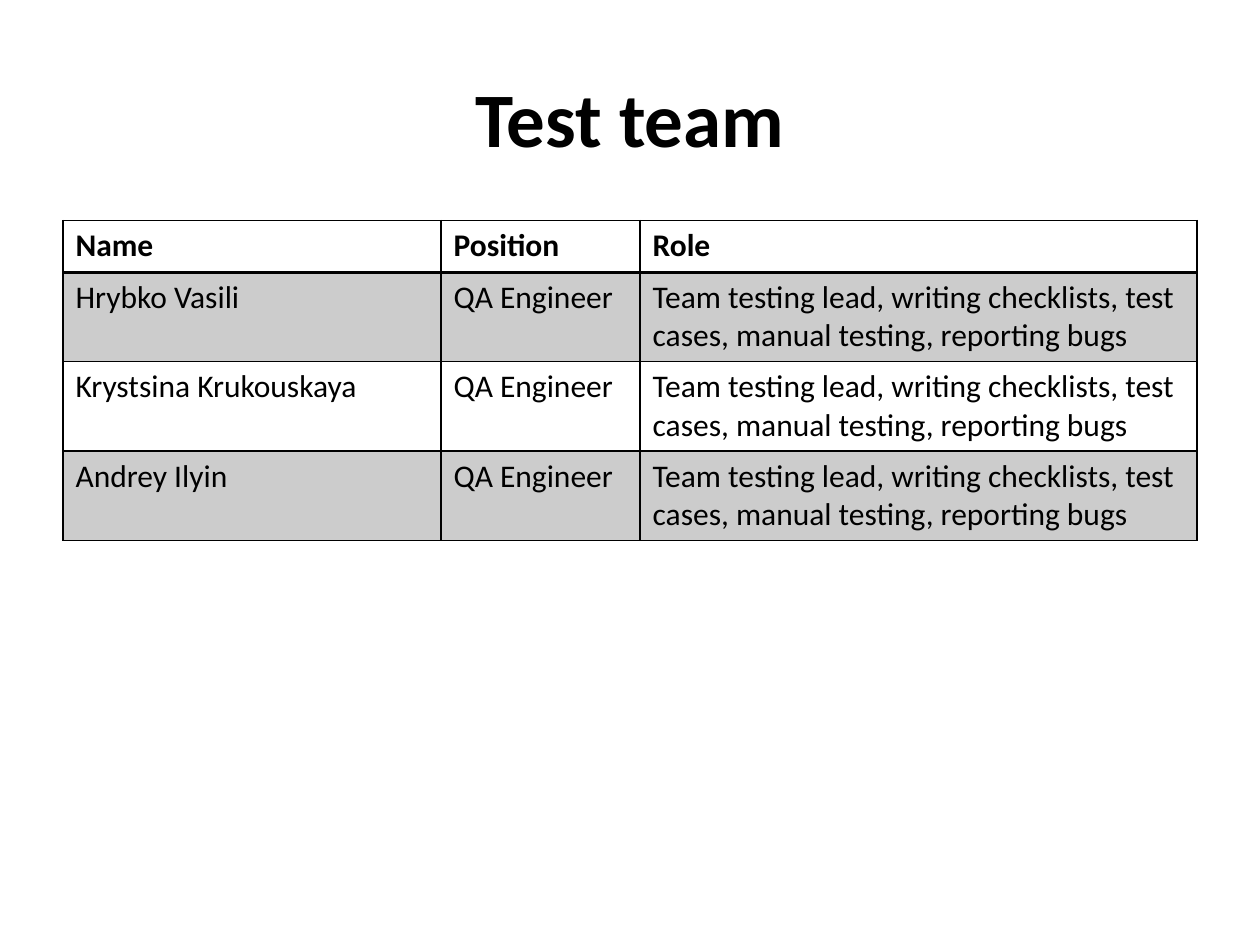
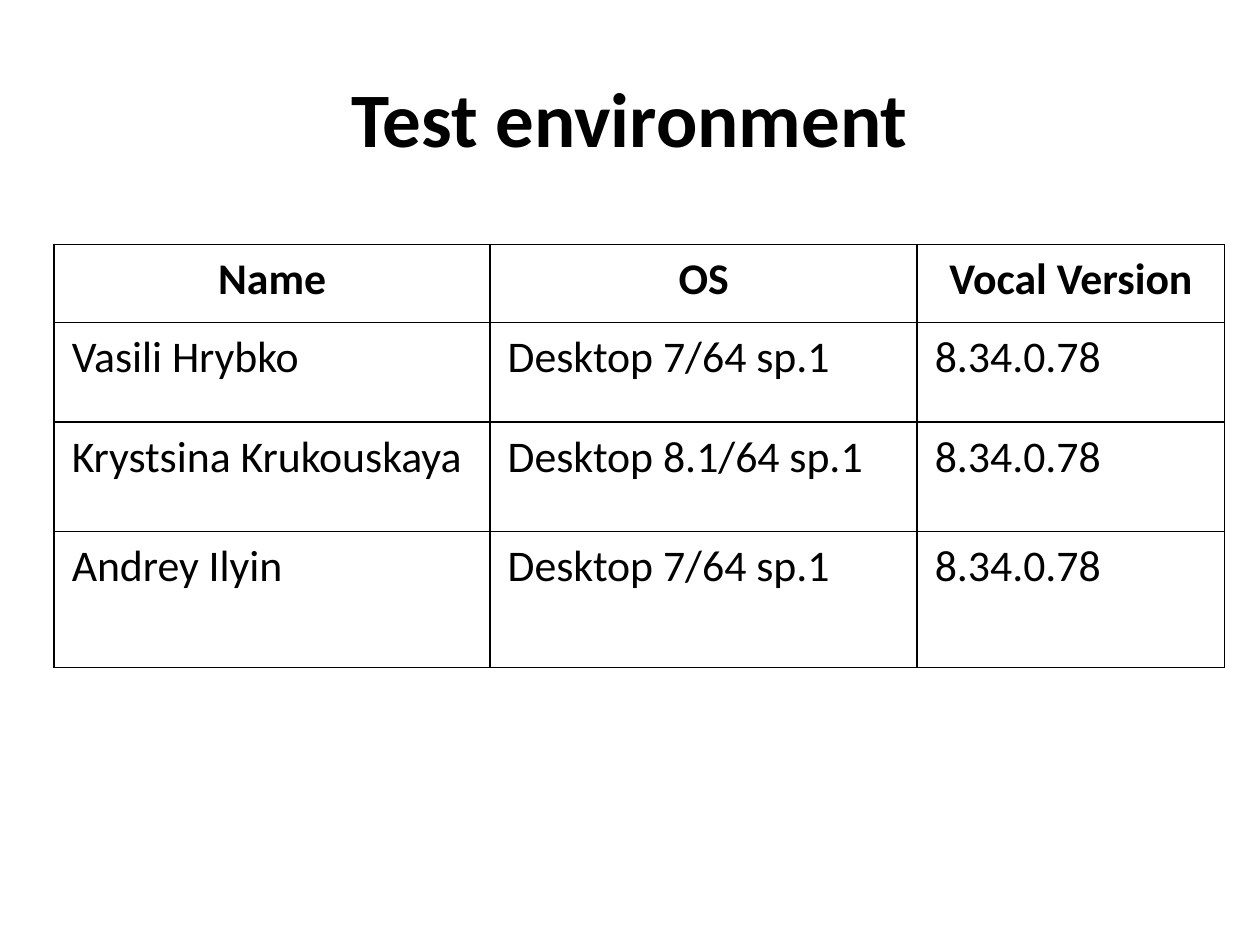
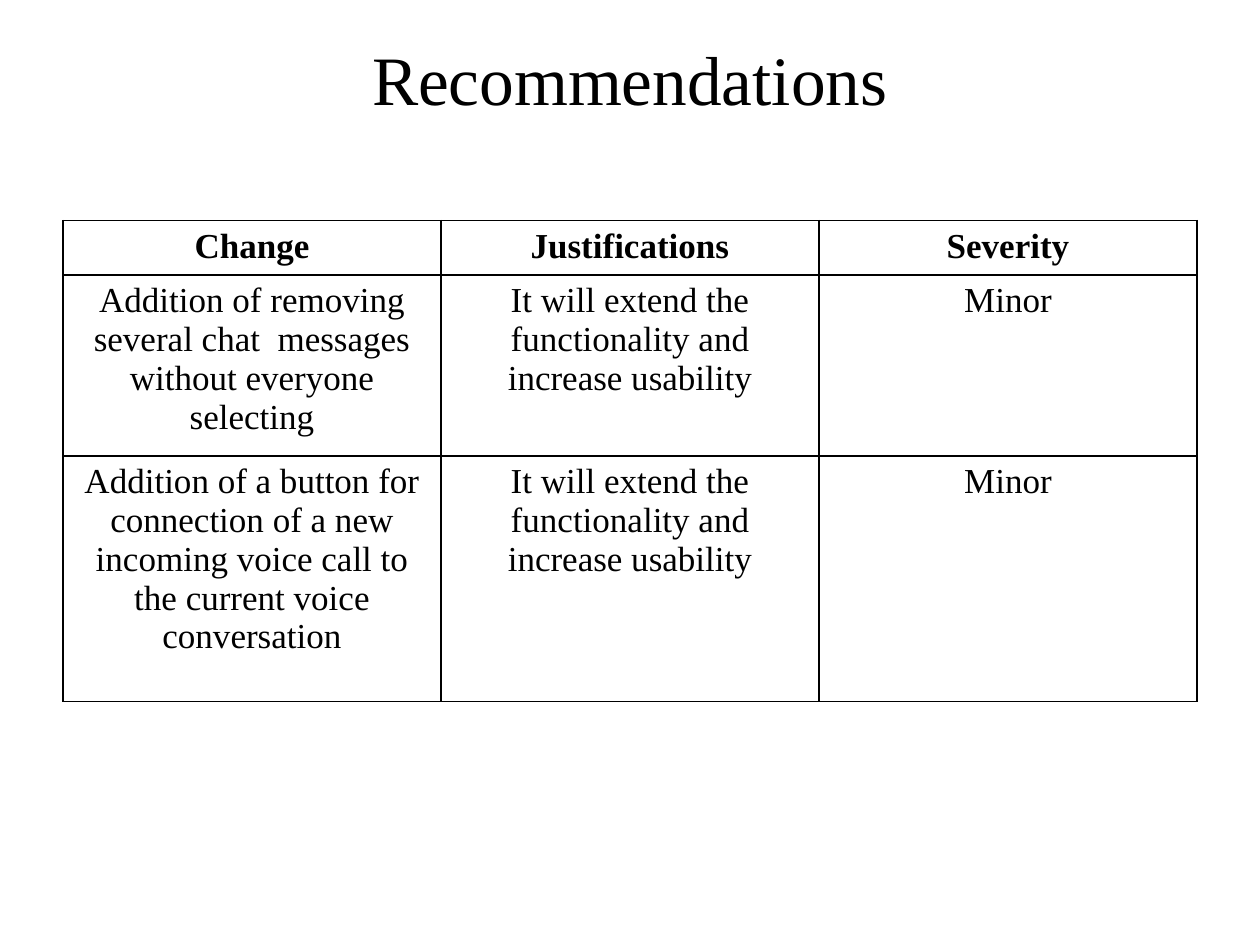
from dataclasses import dataclass
from typing import Optional

from lxml import etree
from pptx import Presentation
from pptx.dml.color import RGBColor
from pptx.enum.text import MSO_ANCHOR, PP_ALIGN
from pptx.oxml.ns import qn
from pptx.util import Inches, Pt

LEFT = PP_ALIGN.LEFT
CENTER = PP_ALIGN.CENTER
MIDDLE = MSO_ANCHOR.MIDDLE

BLACK = RGBColor(0x00, 0x00, 0x00)
WHITE = RGBColor(0xFF, 0xFF, 0xFF)
SANS = "Calibri"
SERIF = "Times New Roman"
BAND_OPACITY = 20
EDGES = ("L", "R", "T", "B")


@dataclass(frozen=True)
class Title:
    text: str
    font: str = SANS
    size: float = 44
    bold: bool = True
    bottom_margin: float = 0.05


@dataclass(frozen=True)
class Grid:
    left: float
    top: float
    columns: tuple[float, ...]
    heights: tuple[float, ...]
    rows: tuple[tuple[str, ...], ...]
    size: float
    font: str = SANS
    header_align: PP_ALIGN = CENTER
    body_align: PP_ALIGN = LEFT
    margins: tuple[float, float] = (0.1, 0.05)
    header_rule: float = 1
    banded: bool = False
    fill: Optional[RGBColor] = None


def apply(target, values: dict) -> None:
    for name, value in values.items():
        setattr(target, name, value)


def write(frame, text: str, font: str, size: float, bold: bool, align: PP_ALIGN) -> None:
    para = frame.paragraphs[0]
    para.alignment = align
    span = para.add_run()
    span.text = text
    apply(span.font, {"name": font, "size": Pt(size), "bold": bold})
    span.font.color.rgb = BLACK


def draw_title(page, title: Title) -> None:
    box = page.shapes.add_textbox(Inches(0.5), Inches(0.3), Inches(9), Inches(1.25))
    frame = box.text_frame
    apply(frame, {
        "word_wrap": True,
        "vertical_anchor": MIDDLE,
        "margin_bottom": Inches(title.bottom_margin),
    })
    write(frame, title.text, title.font, title.size, title.bold, CENTER)


def draw_borders(cell, widths: dict[str, float]) -> None:
    properties = cell._tc.get_or_add_tcPr()
    for edge in EDGES:
        line = etree.SubElement(properties, qn(f"a:ln{edge}"), w=str(Pt(widths.get(edge, 1))))
        paint = etree.SubElement(line, qn("a:solidFill"))
        etree.SubElement(paint, qn("a:srgbClr"), val=str(BLACK))


def fill_cell(cell, color: Optional[RGBColor], opacity: int = 100) -> None:
    if color is None:
        cell.fill.background()
        return
    cell.fill.solid()
    cell.fill.fore_color.rgb = color
    if opacity < 100:
        paint = cell._tc.tcPr.find(".//" + qn("a:solidFill") + "[last()]")
        paint = cell._tc.tcPr.findall(qn("a:solidFill"))[0]
        etree.SubElement(paint[0], qn("a:alpha"), val=str(opacity * 1000))


def draw_grid(page, grid: Grid) -> None:
    frame = page.shapes.add_table(
        len(grid.rows), len(grid.columns), Inches(grid.left), Inches(grid.top),
        Inches(sum(grid.columns)), Inches(sum(grid.heights)),
    )
    table = frame.table
    apply(table, {"first_row": False, "horz_banding": False})
    for column, width in zip(table.columns, grid.columns):
        column.width = Inches(width)
    for row, height in zip(table.rows, grid.heights):
        row.height = Inches(height)

    side, end = (Inches(margin) for margin in grid.margins)
    rules = {0: {"B": grid.header_rule}, 1: {"T": grid.header_rule}}
    for row_index, texts in enumerate(grid.rows):
        header = row_index == 0
        align = grid.header_align if header else grid.body_align
        for column_index, text in enumerate(texts):
            cell = table.cell(row_index, column_index)
            apply(cell, {
                "margin_left": side, "margin_right": side,
                "margin_top": end, "margin_bottom": end,
            })
            write(cell.text_frame, text, grid.font, grid.size, header, align)
            draw_borders(cell, rules.get(row_index, {}))
            if grid.banded and row_index % 2:
                fill_cell(cell, BLACK, BAND_OPACITY)
            else:
                fill_cell(cell, grid.fill)


POSITION = "QA Engineer"
ROLE = "Team testing lead, writing checklists, test cases, manual testing, reporting bugs"
VERSION = "8.34.0.78"
BENEFIT = "It will extend the functionality and increase usability"
MEMBERS = ("Hrybko Vasili", "Krystsina Krukouskaya", "Andrey Ilyin")

SLIDES = (
    (
        Title("Test team"),
        Grid(
            0.5, 1.75, (3, 1.58, 4.42), (0.41, 0.71, 0.71, 0.71),
            (("Name", "Position", "Role"),
             *((member, POSITION, ROLE) for member in MEMBERS)),
            size=18, header_align=LEFT, header_rule=2, banded=True,
        ),
    ),
    (
        Title("Test environment"),
        Grid(
            0.43, 1.94, (3.46, 3.39, 2.44), (0.62, 0.79, 0.87, 1.08),
            (("Name", "OS", "Vocal Version"),
             ("Vasili Hrybko", "Desktop 7/64 sp.1", VERSION),
             ("Krystsina Krukouskaya", "Desktop 8.1/64 sp.1", VERSION),
             ("Andrey Ilyin", "Desktop 7/64 sp.1", VERSION)),
            size=25, margins=(0.14, 0.07),
        ),
    ),
    (
        Title("Recommendations", SERIF, 39.6, False, bottom_margin=0.67),
        Grid(
            0.5, 1.75, (3, 3, 3), (0.41, 1.33, 1.95),
            (("Change", "Justifications", "Severity"),
             ("Addition of removing several chat  messages without everyone selecting",
              BENEFIT, "Minor"),
             ("Addition of a button for connection of a new incoming voice call "
              "to the current voice conversation", BENEFIT, "Minor")),
            size=20, font=SERIF, body_align=CENTER, fill=WHITE,
        ),
    ),
)


def main() -> None:
    deck = Presentation()
    apply(deck, {"slide_width": Inches(10), "slide_height": Inches(7.5)})
    blank = deck.slide_layouts[6]
    for title, grid in SLIDES:
        page = deck.slides.add_slide(blank)
        draw_title(page, title)
        draw_grid(page, grid)
    deck.save("out.pptx")


main()
